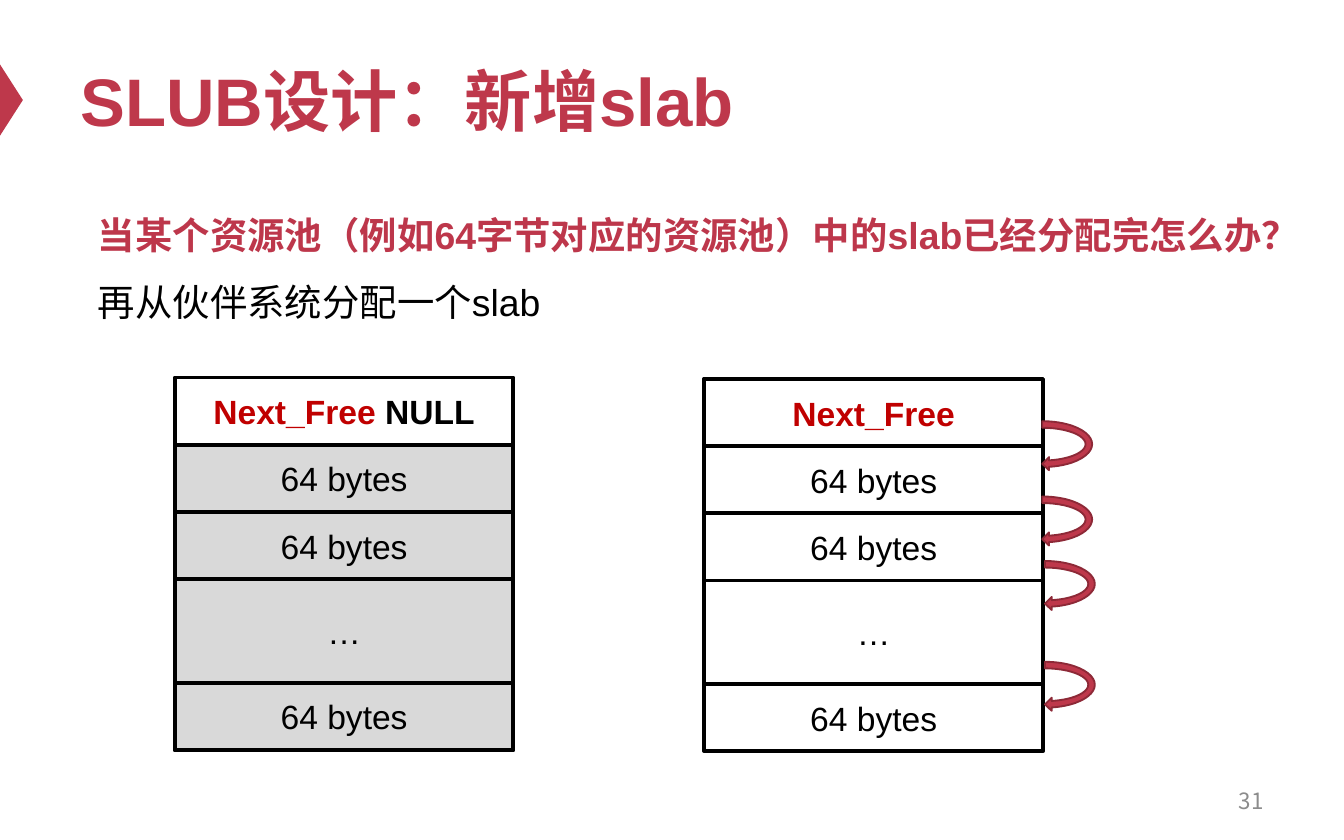
from dataclasses import dataclass
from typing import NamedTuple

from lxml.etree import SubElement
from pptx import Presentation
from pptx.dml.color import RGBColor
from pptx.enum.shapes import MSO_SHAPE
from pptx.enum.text import MSO_ANCHOR, MSO_AUTO_SIZE, PP_ALIGN
from pptx.oxml.ns import qn
from pptx.util import Inches, Pt


@dataclass(frozen=True)
class Theme:
    """Colours, fonts and type sizes of the slide."""
    accent: str = "BE384B"
    question: str = "BD374B"
    arrow_line: str = "8D2937"
    pointer: str = "C00000"
    ink: str = "000000"
    paper: str = "FFFFFF"
    used: str = "D9D9D9"
    muted: str = "8C8C8C"
    latin: str = "Arial"
    asian: str = "Noto Sans CJK SC"
    title: int = 36
    body: int = 20
    cell: int = 18
    number: int = 12


class Box(NamedTuple):
    """Left, top, width and height in inches."""
    left: float
    top: float
    width: float
    height: float


class Run(NamedTuple):
    """A piece of text with one format."""
    text: str
    size: int
    color: str
    bold: bool = False
    font: str = "Arial"


class Slab(NamedTuple):
    """A column of memory blocks under a free-list pointer."""
    left: float
    top: float
    header: list[Run]
    fill: str


T = Theme()
SLAB_WIDTH = 2.52
ROWS = [("64 bytes", 0.5), ("64 bytes", 0.5), ("…", 0.77), ("64 bytes", 0.5)]
HEADER_HEIGHT = 0.5
SLABS = [
    Slab(1.3, 2.81, [Run("Next_Free ", T.cell, T.pointer, True),
                     Run("NULL", T.cell, T.ink, True)], T.used),
    Slab(5.24, 2.82, [Run("Next_Free", T.cell, T.pointer, True)], T.paper),
]
LINKS = [(7.56, 2.91), (7.56, 3.47), (7.58, 4.7), (7.58, 3.95)]


def emu(box: Box) -> list[Inches]:
    """Convert a box to slide lengths."""
    return [Inches(v) for v in box]


def write(tf, paragraphs: list[list[Run]], **formats) -> None:
    """Fill a text frame, giving every paragraph the same formats."""
    for i, runs in enumerate(paragraphs):
        p = tf.paragraphs[0] if i == 0 else tf.add_paragraph()
        for name, value in formats.items():
            setattr(p, name, value)
        for run in runs:
            r = p.add_run()
            r.text = run.text
            values = {"size": Pt(run.size), "bold": run.bold, "name": run.font}
            for name, value in values.items():
                setattr(r.font, name, value)
            r.font.color.rgb = RGBColor.from_string(run.color)
            SubElement(r.font._element, qn("a:ea")).set("typeface", T.asian)


def add_text(s, box: Box, paragraphs: list[list[Run]], anchor: MSO_ANCHOR,
             wrap: bool = True, **formats):
    """Add a text box and return its frame."""
    tf = s.shapes.add_textbox(*emu(box)).text_frame
    tf.word_wrap = wrap
    tf.vertical_anchor = anchor
    write(tf, paragraphs, **formats)
    return tf


def add_shape(s, kind: MSO_SHAPE, box: Box, fill: str, line: str | None = None,
              width: float = 1, rotation: float = 0):
    """Add a flat preset shape."""
    sp = s.shapes.add_shape(kind, *emu(box))
    sp.shadow.inherit = False
    sp.rotation = rotation
    sp.fill.solid()
    sp.fill.fore_color.rgb = RGBColor.from_string(fill)
    if line:
        sp.line.color.rgb = RGBColor.from_string(line)
        sp.line.width = Pt(width)
    else:
        sp.line.fill.background()
    return sp


def add_cell(s, box: Box, runs: list[Run], fill: str) -> None:
    """Add one outlined block with centred text."""
    sp = add_shape(s, MSO_SHAPE.RECTANGLE, box, fill, T.ink, 2)
    sp.text_frame.vertical_anchor = MSO_ANCHOR.MIDDLE
    write(sp.text_frame, [runs], alignment=PP_ALIGN.CENTER)


def add_slab(s, slab: Slab) -> None:
    """Draw the frame, the pointer header and the blocks of a slab."""
    add_shape(s, MSO_SHAPE.RECTANGLE, Box(slab.left, 2.82, SLAB_WIDTH, 2.76),
              T.paper, T.ink, 2)
    add_cell(s, Box(slab.left, slab.top, SLAB_WIDTH, HEADER_HEIGHT),
             slab.header, T.paper)
    top = slab.top + HEADER_HEIGHT
    for text, height in ROWS:
        add_cell(s, Box(slab.left, top, SLAB_WIDTH, height),
                 [Run(text, T.cell, T.ink)], slab.fill)
        top += height


def main() -> None:
    """Build and save the slide."""
    prs = Presentation()
    prs.slide_width, prs.slide_height = Inches(10), Inches(6.25)
    s = prs.slides.add_slide(prs.slide_layouts[6])

    add_shape(s, MSO_SHAPE.ISOSCELES_TRIANGLE, Box(-0.18, 0.66, 0.53, 0.17),
              T.accent, rotation=90)
    add_text(s, Box(0.5, 0.25, 9, 0.98),
             [[Run("SLUB设计：新增slab", T.title, T.accent, True)]],
             MSO_ANCHOR.MIDDLE)
    add_text(s, Box(7.17, 5.79, 2.33, 0.33),
             [[Run("31", T.number, T.muted, font=T.asian)]],
             MSO_ANCHOR.MIDDLE, alignment=PP_ALIGN.RIGHT)
    tf = add_text(s, Box(0.63, 1.36, 9.21, 1.05), [
        [Run("当某个资源池（例如64字节对应的资源池）中的slab已经分配完怎么办？",
             T.body, T.question, True)],
        [Run("再从伙伴系统分配一个slab", T.body, T.ink)],
    ], MSO_ANCHOR.TOP, wrap=False, line_spacing=1.5)
    tf.auto_size = MSO_AUTO_SIZE.SHAPE_TO_FIT_TEXT

    for slab in SLABS:
        add_slab(s, slab)
    for left, top in LINKS:
        add_shape(s, MSO_SHAPE.CIRCULAR_ARROW, Box(left, top, 0.39, 0.79),
                  T.accent, T.arrow_line, 1, rotation=90)

    prs.save("out.pptx")


if __name__ == "__main__":
    main()
